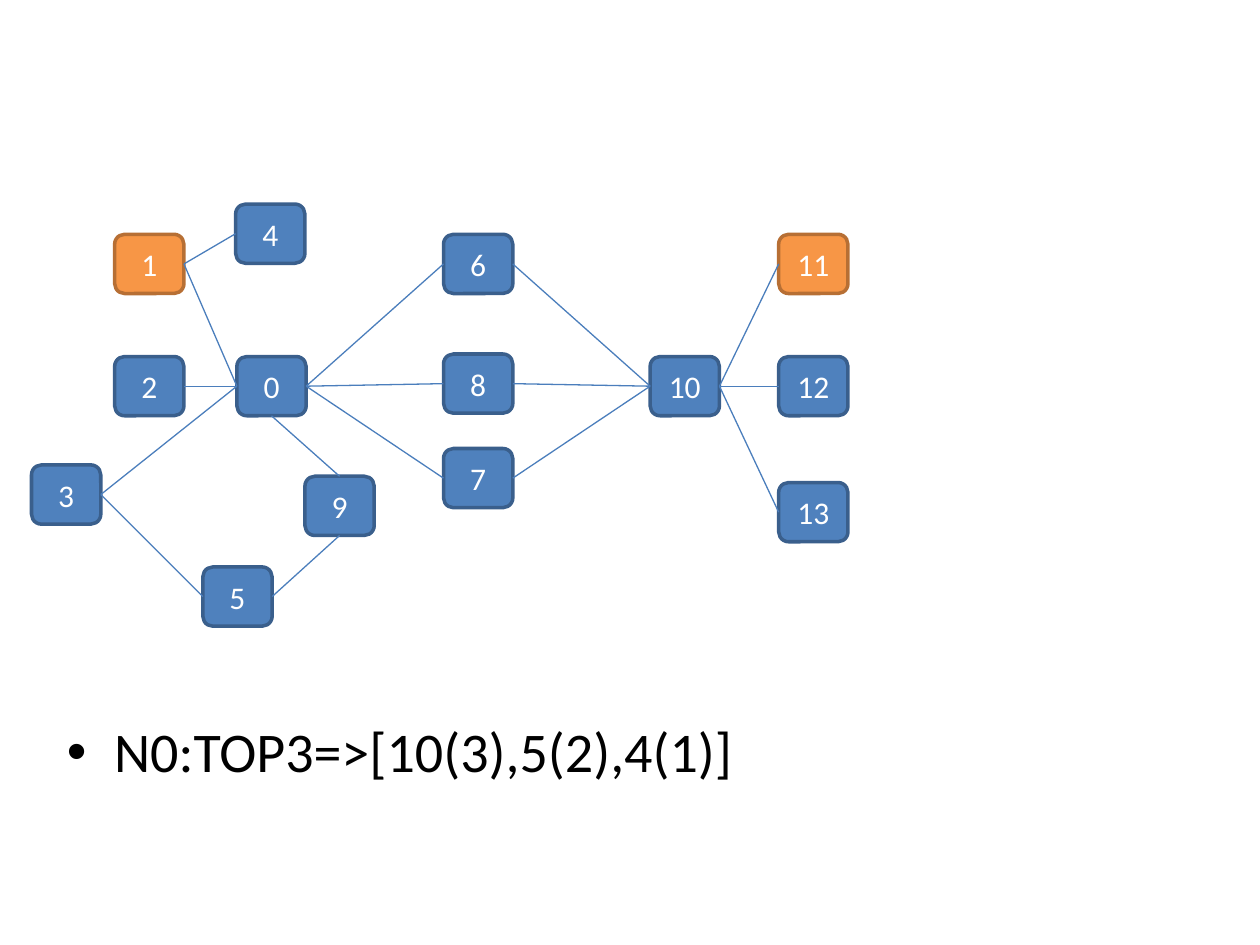
"""Build a slide with a node graph and its top-three result."""
from dataclasses import dataclass

from lxml import etree
from pptx import Presentation
from pptx.dml.color import RGBColor
from pptx.enum.shapes import MSO_CONNECTOR, MSO_SHAPE
from pptx.enum.text import MSO_ANCHOR, PP_ALIGN
from pptx.oxml.ns import qn
from pptx.util import Inches, Pt

BOX = MSO_SHAPE.ROUNDED_RECTANGLE
LINE = MSO_CONNECTOR.STRAIGHT
MIDDLE = MSO_ANCHOR.MIDDLE
CENTER = PP_ALIGN.CENTER
TOP, LEFT, BOTTOM, RIGHT = range(4)

RESULT = "N0:TOP3=>[10(3),5(2),4(1)]"
NODES = {
    0: (1.88, 2.83), 1: (0.91, 1.86), 2: (0.91, 2.83), 3: (0.25, 3.69),
    4: (1.87, 1.62), 5: (1.61, 4.5), 6: (3.52, 1.86), 7: (3.52, 3.56),
    8: (3.52, 2.81), 9: (2.42, 3.78), 10: (5.16, 2.83),
    11: (6.18, 1.86), 12: (6.18, 2.83), 13: (6.18, 3.83),
}
MARKED = {1, 11}
ACROSS = [
    (1, 0), (2, 0), (3, 0), (1, 4), (3, 5), (0, 6), (0, 7), (0, 8),
    (6, 10), (7, 10), (8, 10), (10, 11), (10, 12), (10, 13),
]
LINKS = [(a, RIGHT, b, LEFT) for a, b in ACROSS]
LINKS += [(0, BOTTOM, 9, TOP), (5, RIGHT, 9, BOTTOM)]
WIDTH, HEIGHT = Inches(0.55), Inches(0.47)


@dataclass
class Theme:
    """Colours, font and sizes."""
    font: str = "Calibri"
    plain: tuple = ("4F81BD", "3A5F8C")
    marked: tuple = ("F79646", "B76F34")
    link: str = "4B7EBC"
    label: str = "FFFFFF"
    text: str = "000000"
    small: int = 18
    large: int = 32
    edge: float = 2
    thin: float = 0.75


theme = Theme()


def style(para, size, color):
    """Set the font of a paragraph."""
    para.font.name = theme.font
    para.font.size = Pt(size)
    para.font.color.rgb = RGBColor.from_string(color)


def add_node(slide, num, left, top):
    """Add one numbered box."""
    node = slide.shapes.add_shape(BOX, Inches(left), Inches(top), WIDTH, HEIGHT)
    fill, edge = theme.marked if num in MARKED else theme.plain
    node.shadow.inherit = False
    node.fill.solid()
    node.fill.fore_color.rgb = RGBColor.from_string(fill)
    node.line.color.rgb = RGBColor.from_string(edge)
    node.line.width = Pt(theme.edge)
    frame = node.text_frame
    frame.text = str(num)
    frame.vertical_anchor = MIDDLE
    para = frame.paragraphs[0]
    para.alignment = CENTER
    style(para, theme.small, theme.label)
    return node


def add_link(slide, start, out, end, into):
    """Join two boxes at the given sides."""
    link = slide.shapes.add_connector(LINE, 0, 0, 0, 0)
    link.begin_connect(start, out)
    link.end_connect(end, into)
    link.line.color.rgb = RGBColor.from_string(theme.link)
    link.line.width = Pt(theme.thin)
    etree.SubElement(link.element.spPr, qn("a:effectLst"))


deck = Presentation()
deck.slide_width, deck.slide_height = Inches(10), Inches(7.5)
slide = deck.slides.add_slide(deck.slide_layouts[1])
title = slide.shapes.title.element
title.getparent().remove(title)

body = slide.placeholders[1]
body.left, body.top = Inches(0.43), Inches(5.64)
body.width, body.height = Inches(9.07), Inches(1.57)
body.text_frame.text = RESULT
style(body.text_frame.paragraphs[0], theme.large, theme.text)

nodes = {num: add_node(slide, num, *spot) for num, spot in NODES.items()}
for a, out, b, into in LINKS:
    add_link(slide, nodes[a], out, nodes[b], into)

deck.save("out.pptx")
